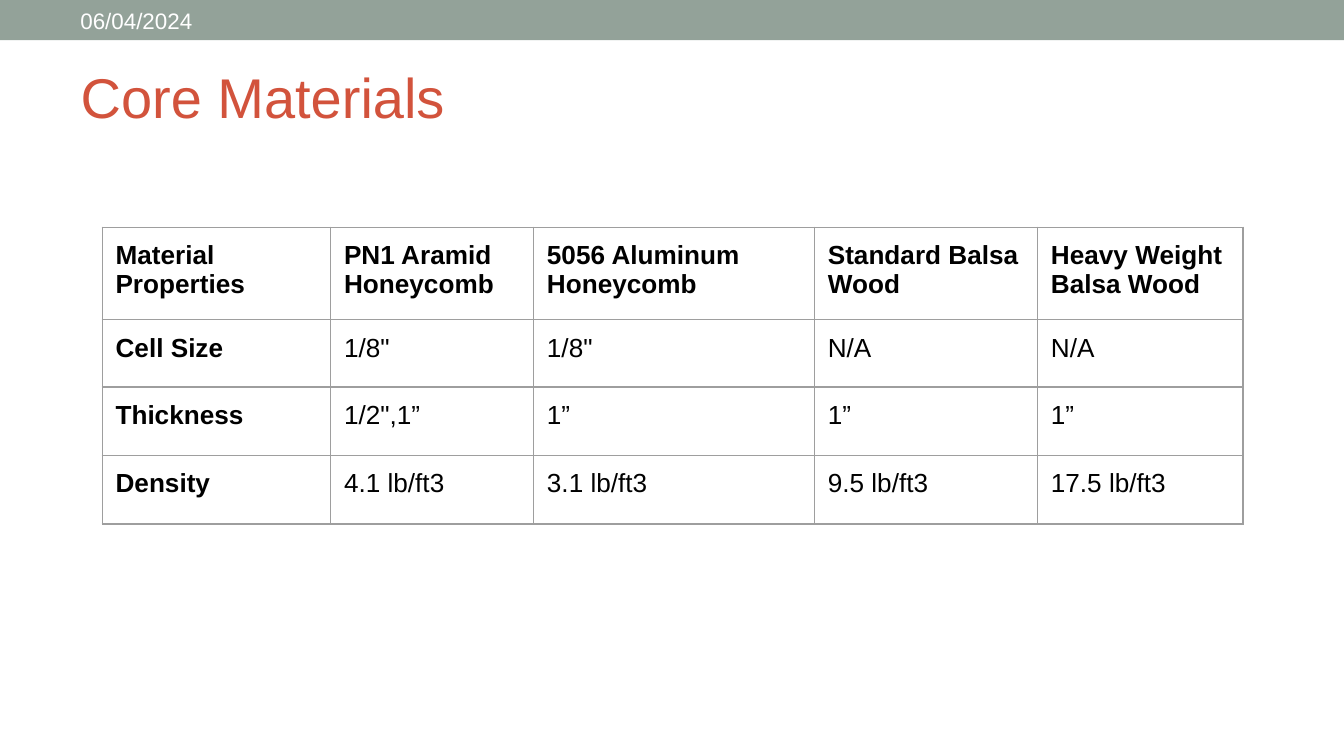
from pptx import Presentation
from pptx.dml.color import RGBColor as RGB
from pptx.enum.shapes import MSO_SHAPE as Shape
from pptx.enum.text import MSO_ANCHOR as Anchor, PP_ALIGN as Align
from pptx.oxml import parse_xml
from pptx.oxml.ns import nsdecls
from pptx.util import Inches, Pt

COLORS = {"bar": "93A299", "title": "D2533C", "text": "000000",
          "date": "FFFFFF", "grid": "9E9E9E"}
WIDTH = 10
HEIGHT = WIDTH * 9 / 16
WIDTHS = [1.7, 1.51, 2.09, 1.66, 1.53]
HEIGHTS = [0.69, 0.5, 0.51, 0.51]
ROWS = [
    ["Material Properties", "PN1 Aramid Honeycomb", "5056 Aluminum Honeycomb",
     "Standard Balsa Wood", "Heavy Weight Balsa Wood"],
    ["Cell Size", '1/8"', '1/8"', "N/A", "N/A"],
    ["Thickness", '1/2",1”', "1”", "1”", "1”"],
    ["Density", "4.1 lb/ft3", "3.1 lb/ft3", "9.5 lb/ft3", "17.5 lb/ft3"],
]


def write(frame, text, size=14, color="text", bold=False, font="Arial"):
    frame.word_wrap = True
    para = frame.paragraphs[0]
    para.alignment = Align.LEFT
    run = para.add_run()
    run.text = text
    run.font.name = font
    run.font.size = Pt(size)
    run.font.bold = bold
    run.font.color.rgb = RGB.from_string(COLORS[color])


def edge(cell, color, width):
    """Draw a line on all four sides of a cell."""
    props = cell._tc.get_or_add_tcPr()
    for i, side in enumerate("LRTB"):
        props.insert(i, parse_xml(
            f'<a:ln{side} {nsdecls("a")} w="{Pt(width)}"><a:solidFill>'
            f'<a:srgbClr val="{COLORS[color]}"/></a:solidFill></a:ln{side}>'))


class Deck:
    def __init__(self, width, height):
        self.prs = Presentation()
        self.prs.slide_width = Inches(width)
        self.prs.slide_height = Inches(height)
        self.slide = self.prs.slides.add_slide(self.prs.slide_layouts[5])
        self.shapes = self.slide.shapes

    def bar(self, *box):
        bar = self.shapes.add_shape(Shape.RECTANGLE, *map(Inches, box))
        bar.shadow.inherit = False
        bar.fill.solid()
        bar.fill.fore_color.rgb = RGB.from_string(COLORS["bar"])
        bar.line.fill.background()

    def title(self, text, *box):
        title = self.shapes.title
        title.left, title.top, title.width, title.height = map(Inches, box)
        title.text_frame.vertical_anchor = Anchor.MIDDLE
        write(title.text_frame, text, size=30, color="title")

    def date(self, text, *box):
        frame = self.shapes.add_textbox(*map(Inches, box)).text_frame
        frame.vertical_anchor = Anchor.MIDDLE
        write(frame, text, size=12, color="date")

    def table(self, rows, widths, heights, left, top):
        box = (left, top, sum(widths), sum(heights))
        table = self.shapes.add_table(
            len(rows), len(widths), *map(Inches, box)).table
        table.first_row = table.horz_banding = False
        for col, width in zip(table.columns, widths):
            col.width = Inches(width)
        for row, height in zip(table.rows, heights):
            row.height = Inches(height)
        for r, row in enumerate(rows):
            for c, text in enumerate(row):
                cell = table.cell(r, c)
                cell.margin_left = cell.margin_right = Inches(0.1)
                cell.margin_top = cell.margin_bottom = Inches(0.1)
                cell.fill.background()
                edge(cell, "grid", 0.75)
                write(cell.text_frame, text, bold=r == 0 or c == 0)

    def save(self):
        self.prs.save("out.pptx")


def main():
    deck = Deck(WIDTH, HEIGHT)
    deck.bar(0, 0, WIDTH, 0.3)
    deck.title("Core Materials", 0.5, 0.31, 9, 0.81)
    deck.table(ROWS, WIDTHS, HEIGHTS, 0.76, 1.69)
    deck.date("06/04/2024", 0.5, 0.01, 3.17, 0.28)
    deck.save()


if __name__ == "__main__":
    main()
